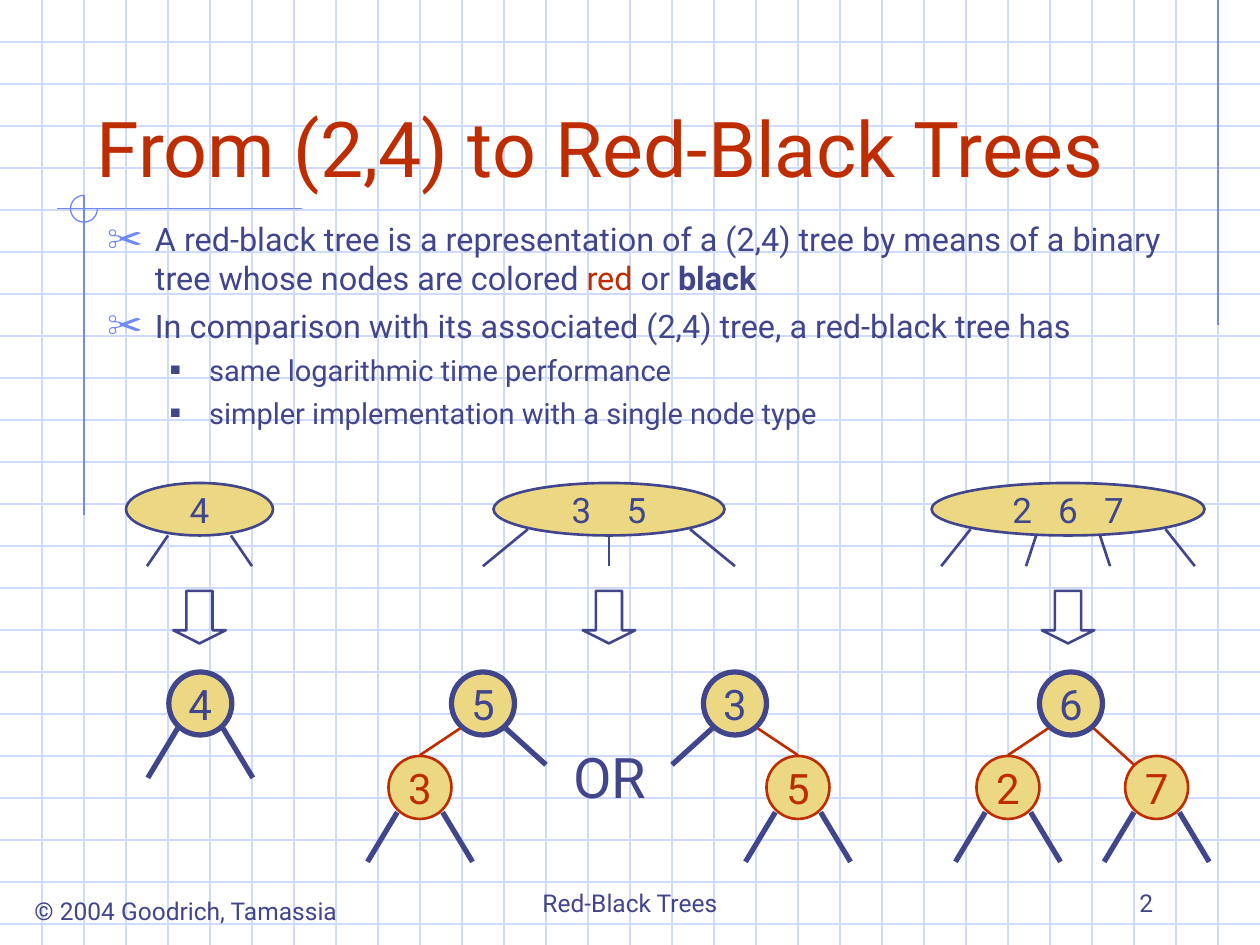
from dataclasses import dataclass
from typing import NamedTuple, Optional

import pptx
import pptx.dml.color
import pptx.enum.shapes
import pptx.enum.text
import pptx.oxml.xmlchemy
import pptx.util

RGBColor = pptx.dml.color.RGBColor
Align = pptx.enum.text.PP_ALIGN
Anchor = pptx.enum.text.MSO_ANCHOR
Preset = pptx.enum.shapes.MSO_SHAPE

INK = RGBColor(0x40, 0x45, 0x8C)
RED = RGBColor(0xBE, 0x2D, 0x00)
GOLD = RGBColor(0xEC, 0xD8, 0x82)
PALE = RGBColor(0xCF, 0xDB, 0xFD)
BLUE = RGBColor(0x6F, 0x89, 0xF7)

# The background paper is the layout grid: all places are in its cells.
COLUMNS, ROWS = 30, 22.5
SLIDE_WIDTH, SLIDE_HEIGHT = pptx.util.Inches(10), pptx.util.Inches(7.5)
FONT = "Roboto"
NODE_SIZE = 1.5


class Edge(NamedTuple):
    """A branch leaving a binary node; the reach is measured from its centre."""
    across: float
    down: float
    color: RGBColor
    width: float


FORK = Edge(1.25, 1.77, INK, 3)
LONG = Edge(1.5, 1.46, INK, 3)
TO_CHILD = Edge(1.5, 1.23, RED, 1.5)
TO_FAR_CHILD = Edge(1.5, 1.46, RED, 1.5)


@dataclass
class BinaryNode:
    label: str
    column: float
    row: float
    red: bool = False
    left: Edge = FORK
    right: Edge = FORK


class Branch(NamedTuple):
    start: float
    end: float
    top: float


@dataclass
class WideNode:
    keys: str
    column: float
    width: float
    key_gap: float
    branches: list[Branch]


class Bullet(NamedTuple):
    character: str
    color: RGBColor
    percent: int
    margin: float
    hang: float
    size: float
    space: float


SCISSORS = Bullet("✂", BLUE, 110, 0.38, 0.38, 18.5, 5)
SQUARE = Bullet("■", INK, 60, 0.81, 0.31, 16.6, 4.5)

BULLETS = [
    (SCISSORS, [("A red-black tree is a representation of a (2,4) tree by means of "
                 "a binary tree whose nodes are colored ", INK, False),
                ("red", RED, False), (" or ", INK, False), ("black", INK, True)]),
    (SCISSORS, [("In comparison with its associated (2,4) tree, a red-black tree has",
                 INK, False)]),
    (SQUARE, [("same logarithmic time performance", INK, False)]),
    (SQUARE, [("simpler implementation with a single node type", INK, False)]),
]

WIDE_NODES = [
    WideNode("2 6 7", 25.43, 6.5, 5, [Branch(2.32, 3.02, 12.6), Branch(0.76, 1, 12.75)]),
    WideNode("3 5", 14.5, 5.5, 7.6, [Branch(0, 0, 12.77), Branch(1.93, 3, 12.6)]),
    WideNode("4", 4.75, 3.5, 0, [Branch(0.75, 1.25, 12.75)]),
]

BINARY_NODES = [
    BinaryNode("4", 4.77, 16.75),
    BinaryNode("6", 25.5, 16.75, left=TO_CHILD, right=TO_FAR_CHILD),
    BinaryNode("2", 24, 18.75, red=True),
    BinaryNode("7", 27.54, 18.75, red=True),
    BinaryNode("5", 11.5, 16.75, left=TO_CHILD, right=LONG),
    BinaryNode("3", 10, 18.75, red=True),
    BinaryNode("3", 17.5, 16.75, left=LONG, right=TO_CHILD),
    BinaryNode("5", 19, 18.75, red=True),
]


def cells(count: float) -> int:
    return round(SLIDE_WIDTH * count / COLUMNS)


def new_element(tag: str, **attributes: str):
    element = pptx.oxml.xmlchemy.OxmlElement(tag)
    for name, value in attributes.items():
        element.set(name, value)
    return element


def add_text(paragraph, text: str, *, size: float, color: RGBColor = INK,
             bold: bool = False, spacing: float = 0) -> None:
    run = paragraph.add_run()
    run.text = text
    run.font.name, run.font.size = FONT, pptx.util.Pt(size)
    run.font.bold, run.font.color.rgb = bold, color
    if spacing:
        run.font._element.set("spc", str(round(spacing * 100)))


def add_line(slide, start: tuple[float, float], end: tuple[float, float],
             color: RGBColor, width: float = 0.75) -> None:
    line = slide.shapes.add_connector(pptx.enum.shapes.MSO_CONNECTOR.STRAIGHT,
                                      *map(cells, start + end))
    line.line.color.rgb, line.line.width = color, pptx.util.Pt(width)
    line._element.spPr.append(new_element("a:effectLst"))


def add_preset(slide, preset, box: tuple[float, float, float, float], color: RGBColor,
               width: float, fill: Optional[RGBColor] = None):
    shape = slide.shapes.add_shape(preset, *map(cells, box))
    shape.shadow.inherit = False
    shape.line.color.rgb, shape.line.width = color, pptx.util.Pt(width)
    if fill is None:
        shape.fill.background()
    else:
        shape.fill.solid()
        shape.fill.fore_color.rgb = fill
    return shape


def add_label(slide, text: str, box: tuple[float, float, float, float], size: float,
              align=Align.CENTER, anchor=Anchor.TOP, wrap: bool = True) -> None:
    frame = slide.shapes.add_textbox(*map(cells, box)).text_frame
    frame.word_wrap, frame.vertical_anchor = wrap, anchor
    frame.paragraphs[0].alignment = align
    add_text(frame.paragraphs[0], text, size=size)


def center_paragraph(shape):
    shape.text_frame.word_wrap = False
    shape.text_frame.vertical_anchor = Anchor.MIDDLE
    paragraph = shape.text_frame.paragraphs[0]
    paragraph.alignment = Align.CENTER
    return paragraph


def set_bullet(paragraph, bullet: Bullet) -> None:
    properties = paragraph._p.get_or_add_pPr()
    properties.set("marL", str(pptx.util.Inches(bullet.margin)))
    properties.set("indent", str(-pptx.util.Inches(bullet.hang)))
    color = new_element("a:buClr")
    color.append(new_element("a:srgbClr", val=str(bullet.color)))
    properties.extend([color, new_element("a:buSzPct", val=str(bullet.percent * 1000)),
                       new_element("a:buChar", char=bullet.character)])


def place(shape, box: tuple[float, float, float, float], anchor):
    """Move a placeholder to the front and to its box; return its text frame."""
    shape.left, shape.top, shape.width, shape.height = map(cells, box)
    shape._element.getparent().append(shape._element)
    frame = shape.text_frame
    frame.word_wrap, frame.vertical_anchor = True, anchor
    frame.auto_size = pptx.enum.text.MSO_AUTO_SIZE.NONE
    return frame


def draw_paper(slide) -> None:
    for row in range(1, int(ROWS) + 1):
        add_line(slide, (0, row), (COLUMNS, row), PALE)
    for column in range(1, COLUMNS):
        add_line(slide, (column, 0), (column, ROWS), PALE)
    add_line(slide, (29, 0), (29, 7.74), BLUE)
    add_line(slide, (7.2, 4.97), (1.35, 4.97), BLUE)
    add_line(slide, (2, 4.65), (2, 12.27), BLUE)
    arc = add_preset(slide, Preset.ARC, (1.68, 4.65, 0.64, 0.64), BLUE, 0.75)
    arc.adjustments[0], arc.adjustments[1] = 0, 162  # right to top, clockwise


def draw_wide_node(slide, node: WideNode) -> None:
    box = (node.column - node.width / 2, 11.5, node.width, 1.25)
    paragraph = center_paragraph(add_preset(slide, Preset.OVAL, box, INK, 1.5, GOLD))
    if node.key_gap:
        add_text(paragraph, node.keys[:-1], size=20, spacing=node.key_gap)
    add_text(paragraph, node.keys[-1], size=20)
    for branch in node.branches:
        for side in (-1, 1) if branch.end else (1,):
            add_line(slide, (node.column + side * branch.start, branch.top),
                     (node.column + side * branch.end, 13.48), INK, 1.5)
    arrow = add_preset(slide, Preset.DOWN_ARROW,
                       (node.column - 0.625, 14.07, 1.25, 1.25), INK, 1.5)
    arrow.adjustments[0], arrow.adjustments[1] = 0.5, 0.25


def draw_binary_node(slide, node: BinaryNode) -> None:
    color, width = (RED, 1.5) if node.red else (INK, 3)
    box = (node.column - NODE_SIZE / 2, node.row - NODE_SIZE / 2, NODE_SIZE, NODE_SIZE)
    circle = add_preset(slide, Preset.OVAL, box, color, width, GOLD)
    add_text(center_paragraph(circle), node.label, size=24, color=color)
    for side, edge in ((-1, node.left), (1, node.right)):
        add_line(slide, (node.column + side * 0.54, node.row + 0.59),
                 (node.column + side * edge.across, node.row + edge.down),
                 edge.color, edge.width)


def main() -> None:
    presentation = pptx.Presentation()
    presentation.slide_width, presentation.slide_height = SLIDE_WIDTH, SLIDE_HEIGHT
    slide = presentation.slides.add_slide(presentation.slide_layouts[1])
    draw_paper(slide)

    # Footer
    add_label(slide, "© 2004 Goodrich, Tamassia", (0.36, 21.18, 8.13, 1.02), 14, wrap=False)
    add_label(slide, "Red-Black Trees", (10.25, 20.5, 9.5, 1.5), 14, anchor=Anchor.BOTTOM)
    add_label(slide, "2", (21.5, 20.5, 6.25, 1.5), 14, Align.RIGHT, Anchor.BOTTOM)

    # Title and list
    title = place(slide.shapes.title, (2, 1, 26.75, 3.75), Anchor.BOTTOM).paragraphs[0]
    title.alignment = Align.LEFT
    add_text(title, "From (2,4) to Red-Black Trees", size=44, color=RED)
    body = place(slide.placeholders[1], (2.25, 5.07, 26.5, 5.94), Anchor.TOP)
    for index, (bullet, runs) in enumerate(BULLETS):
        paragraph = body.add_paragraph() if index else body.paragraphs[0]
        paragraph.level = int(bullet is SQUARE)
        set_bullet(paragraph, bullet)
        paragraph.space_before = pptx.util.Pt(bullet.space if index else 0)
        for text, color, bold in runs:
            add_text(paragraph, text, size=bullet.size, color=color, bold=bold)

    # (2,4) nodes above their red-black trees
    for wide_node in WIDE_NODES:
        draw_wide_node(slide, wide_node)
    for binary_node in BINARY_NODES:
        draw_binary_node(slide, binary_node)
    add_label(slide, "OR", (13.3, 17.52, 2.45, 1.92), 32, wrap=False)

    presentation.save("out.pptx")


if __name__ == "__main__":
    main()
